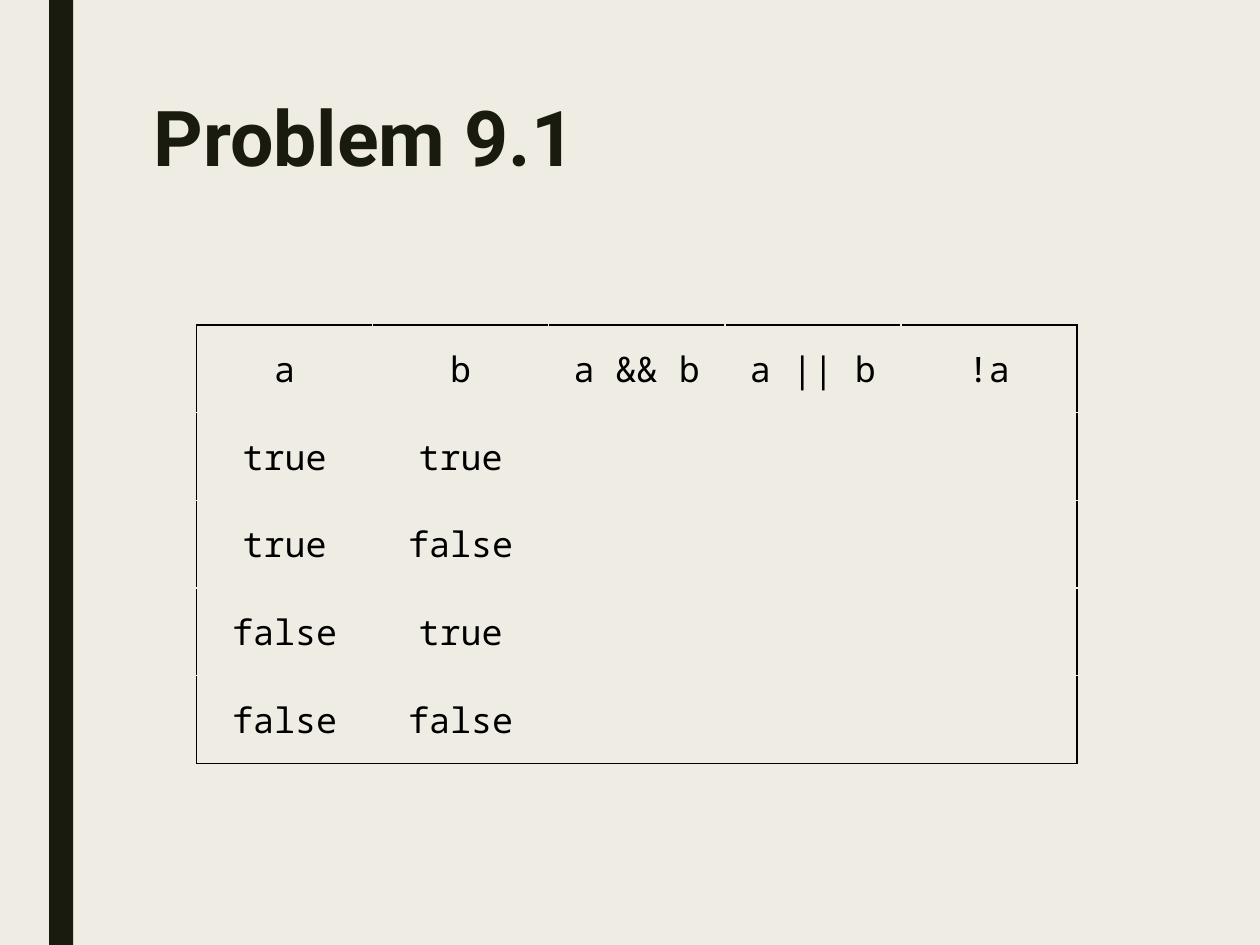
from lxml.etree import SubElement
from pptx import Presentation
from pptx.dml.color import RGBColor
from pptx.enum.shapes import MSO_SHAPE as Shape
from pptx.enum.text import MSO_ANCHOR as Anchor, PP_ALIGN as Align
from pptx.oxml.ns import qn
from pptx.util import Inches, Pt

COLORS = {"paper": "EFEDE3", "dark": "191B0E", "ink": "000000"}
PAGE_WIDTH, PAGE_HEIGHT = 10, 7.5
TRUTH_TABLE = [
    ["a", "b", "a && b", "a || b", "!a"],
    ["true", "true", "", "", ""],
    ["true", "false", "", "", ""],
    ["false", "true", "", "", ""],
    ["false", "false", "", "", ""],
]


def color(name):
    return RGBColor.from_string(COLORS[name])


def write(frame, text, *, font, size, ink, bold=False, align=Align.LEFT, spacing=None):
    para = frame.paragraphs[0]
    para.alignment = align
    para.line_spacing = spacing
    span = para.add_run()
    span.text = text
    span.font.name = font
    span.font.size = Pt(size)
    span.font.bold = bold
    span.font.color.rgb = color(ink)


def add_side_bar(page, box):
    bar = page.shapes.add_shape(Shape.RECTANGLE, *map(Inches, box))
    bar.shadow.inherit = False
    bar.fill.solid()
    bar.fill.fore_color.rgb = color("dark")
    bar.line.fill.background()


def add_title(page, box, text):
    frame = page.shapes.add_textbox(*map(Inches, box)).text_frame
    frame.word_wrap = True
    frame.vertical_anchor = Anchor.TOP
    write(frame, text, font="Roboto", size=44, ink="dark", bold=True, spacing=0.89)


def set_borders(cell, outer):
    """Draw edges named in outer in ink and the others in the paper colour."""
    props = cell._tc.get_or_add_tcPr()
    for index, side in enumerate("LRTB"):
        line = SubElement(props, qn(f"a:ln{side}"), w=str(Pt(1)))
        fill = SubElement(line, qn("a:solidFill"))
        SubElement(fill, qn("a:srgbClr"), val=COLORS["ink" if side in outer else "paper"])
        props.insert(index, line)


def add_truth_table(page, box, rows):
    row_count, column_count = len(rows), len(rows[0])
    table = page.shapes.add_table(row_count, column_count, *map(Inches, box)).table
    for r, row in enumerate(rows):
        for c, text in enumerate(row):
            cell = table.cell(r, c)
            cell.vertical_anchor = Anchor.MIDDLE
            cell.fill.solid()
            cell.fill.fore_color.rgb = color("paper")
            on_edge = {"L": c == 0, "R": c == column_count - 1,
                       "T": r == 0, "B": r == row_count - 1}
            set_borders(cell, {side for side, is_outer in on_edge.items() if is_outer})
            if text:
                write(cell.text_frame, text, font="Noto Sans Mono", size=20,
                      ink="ink", align=Align.CENTER)


def main():
    deck = Presentation()
    deck.slide_width, deck.slide_height = Inches(PAGE_WIDTH), Inches(PAGE_HEIGHT)
    page = deck.slides.add_slide(deck.slide_layouts[6])
    page.background.fill.solid()
    page.background.fill.fore_color.rgb = color("paper")
    add_side_bar(page, (0.39, 0, 0.19, PAGE_HEIGHT))
    add_title(page, (1.12, 0.75, 7.88, 1.11), "Problem 9.1")
    add_truth_table(page, (1.56, 2.58, 6.99, 3.48), TRUTH_TABLE)
    deck.save("out.pptx")


if __name__ == "__main__":
    main()
